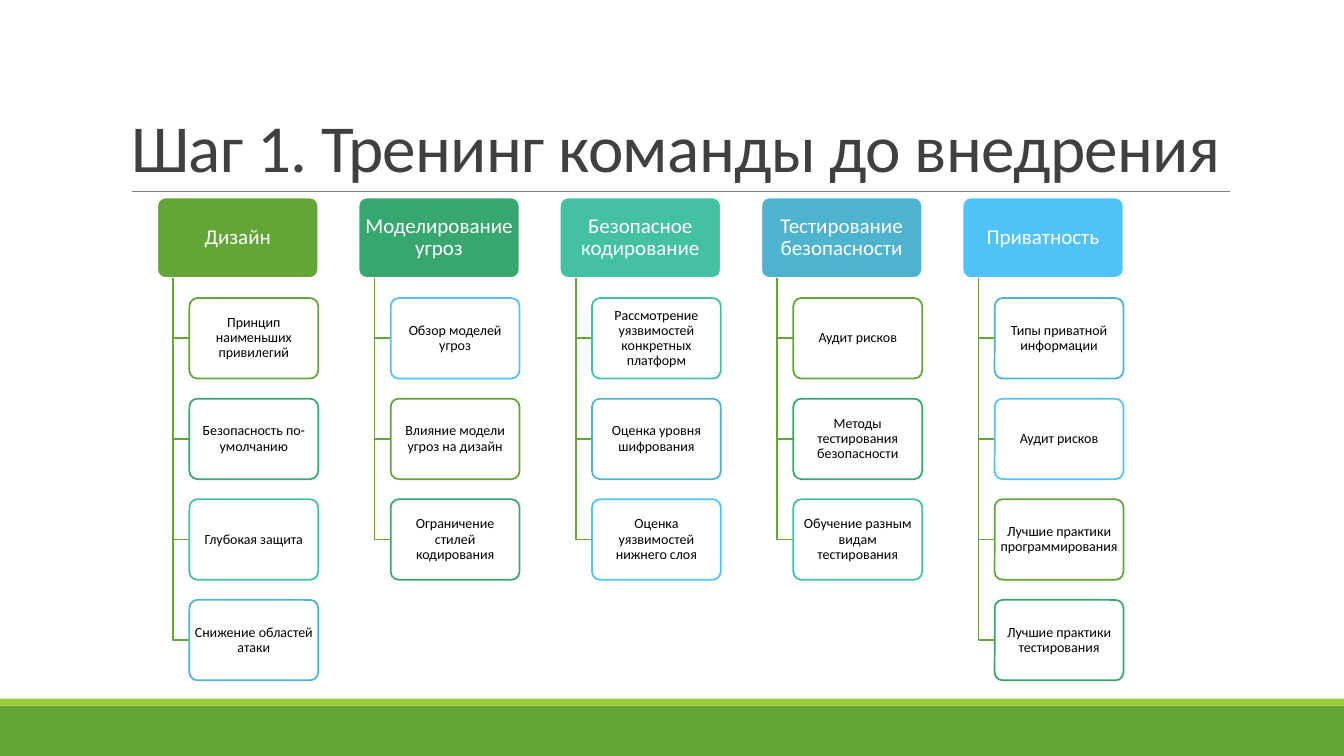
from dataclasses import dataclass
from itertools import cycle

from lxml import etree
from pptx import Presentation
from pptx.dml.color import RGBColor
from pptx.enum import shapes, text
from pptx.oxml import ns
from pptx.util import Pt


@dataclass(frozen=True)
class Theme:
    font: str = "Calibri"
    accents: tuple = ("63A537", "37A76F", "44C1A3", "4EB3CF", "51C3F9")
    stripe: str = "99CB38"
    rule: str = "808080"
    title: str = "404040"
    white: str = "FFFFFF"
    black: str = "000000"
    title_size: float = 48
    header_size: float = 15
    item_size: float = 10
    outline: float = 1.25
    hairline: float = 0.5


class SlideBuilder:
    def __init__(self, slide, theme):
        self.slide = slide
        self.theme = theme

    def outline(self, shape, color, width):
        shape.line.color.rgb = RGBColor.from_string(color)
        shape.line.width = Pt(width)

    def set_text(self, shape, wording, size, color, alignment, spacing):
        frame = shape.text_frame
        frame.word_wrap = True
        frame.auto_size = text.MSO_AUTO_SIZE.NONE
        paragraph = frame.paragraphs[0]
        paragraph.text = wording
        paragraph.alignment = alignment
        paragraph.line_spacing = spacing
        paragraph.font.name = self.theme.font
        paragraph.font.size = Pt(size)
        paragraph.font.color.rgb = RGBColor.from_string(color)
        return frame

    def title(self, wording, left, top, width, height):
        shape = self.slide.shapes.title
        shape.left, shape.top = Pt(left), Pt(top)
        shape.width, shape.height = Pt(width), Pt(height)
        frame = self.set_text(shape, wording, self.theme.title_size, self.theme.title,
                              text.PP_ALIGN.LEFT, 0.85)
        frame.vertical_anchor = text.MSO_ANCHOR.BOTTOM
        frame.paragraphs[0].runs[0].font._element.set("spc", "-50")

    def block(self, kind, left, top, width, height, fill):
        shape = self.slide.shapes.add_shape(kind, Pt(left), Pt(top), Pt(width), Pt(height))
        shape.shadow.inherit = False
        shape.fill.solid()
        shape.fill.fore_color.rgb = RGBColor.from_string(fill)
        return shape

    def band(self, top, height, fill):
        shape = self.block(shapes.MSO_SHAPE.RECTANGLE, 0, top, 960, height, fill)
        shape.line.fill.background()

    def card(self, wording, left, top, width, height, fill, line, size, color, insets):
        shape = self.block(shapes.MSO_SHAPE.ROUNDED_RECTANGLE, left, top, width, height, fill)
        shape.adjustments[0] = 0.1
        self.outline(shape, line, self.theme.outline)
        frame = self.set_text(shape, wording, size, color, text.PP_ALIGN.CENTER, 0.9)
        frame.vertical_anchor = text.MSO_ANCHOR.MIDDLE
        frame.margin_left = frame.margin_right = Pt(insets[0])
        frame.margin_top = frame.margin_bottom = Pt(insets[1])
        return shape

    def header(self, wording, left, top, width, height, fill):
        self.card(wording, left, top, width, height, fill, self.theme.white,
                  self.theme.header_size, self.theme.white, (2.25, 1.5))

    def item(self, wording, left, top, width, height, line):
        shape = self.card(wording, left, top, width, height, self.theme.white, line,
                          self.theme.item_size, self.theme.black, (1.5, 1))
        fill_color = shape._element.spPr.find(ns.qn("a:solidFill"))[0]
        etree.SubElement(fill_color, ns.qn("a:alpha")).set("val", "90000")

    def elbow(self, left, top, right, bottom):
        builder = self.slide.shapes.build_freeform(Pt(left), Pt(top))
        builder.add_line_segments([(Pt(left), Pt(bottom)), (Pt(right), Pt(bottom))], close=False)
        shape = builder.convert_to_shape()
        shape.shadow.inherit = False
        shape.fill.background()
        self.outline(shape, self.theme.accents[0], self.theme.outline)

    def rule(self, left, right, top):
        connector = self.slide.shapes.add_connector(
            shapes.MSO_CONNECTOR.STRAIGHT, Pt(left), Pt(top), Pt(right), Pt(top))
        self.outline(connector, self.theme.rule, self.theme.hairline)
        etree.SubElement(connector._element.spPr, ns.qn("a:effectLst"))


TOPICS = {
    "Дизайн": ["Принцип наименьших привилегий", "Безопасность по-умолчанию",
               "Глубокая защита", "Снижение областей атаки"],
    "Моделирование угроз": ["Обзор моделей угроз", "Влияние модели угроз на дизайн",
                            "Ограничение стилей кодирования"],
    "Безопасное кодирование": ["Рассмотрение уязвимостей конкретных платформ",
                               "Оценка уровня шифрования",
                               "Оценка уязвимостей нижнего слоя"],
    "Тестирование безопасности": ["Аудит рисков", "Методы тестирования безопасности",
                                  "Обучение разным видам тестирования"],
    "Приватность": ["Типы приватной информации", "Аудит рисков",
                    "Лучшие практики программирования", "Лучшие практики тестирования"],
}
LEFT, TOP = 112.3, 141.1
COLUMN_STEP, ROW_STEP = 143.8, 71.85
HEADER_WIDTH, ITEM_WIDTH, CARD_HEIGHT = 115, 92, 57.5
STEM_OFFSET, ITEM_OFFSET = 11.5, 23

presentation = Presentation()
presentation.slide_width, presentation.slide_height = Pt(960), Pt(540)
theme = Theme()
builder = SlideBuilder(presentation.slides.add_slide(presentation.slide_layouts[5]), theme)

builder.band(504, 36, theme.accents[0])
builder.band(499, 5, theme.stripe)
builder.rule(94.2, 878.8, 136.8)
builder.title("Шаг 1. Тренинг команды до внедрения", 86.4, 22.6, 811.4, 114.2)

item_colors = cycle(theme.accents)
for column, (topic, items) in enumerate(TOPICS.items()):
    left = LEFT + column * COLUMN_STEP
    builder.header(topic, left, TOP, HEADER_WIDTH, CARD_HEIGHT, theme.accents[column])
    for row, wording in enumerate(items, start=1):
        top = TOP + row * ROW_STEP
        builder.elbow(left + STEM_OFFSET, TOP + CARD_HEIGHT,
                      left + ITEM_OFFSET, top + CARD_HEIGHT / 2)
        builder.item(wording, left + ITEM_OFFSET, top, ITEM_WIDTH, CARD_HEIGHT,
                     next(item_colors))

presentation.save("out.pptx")
